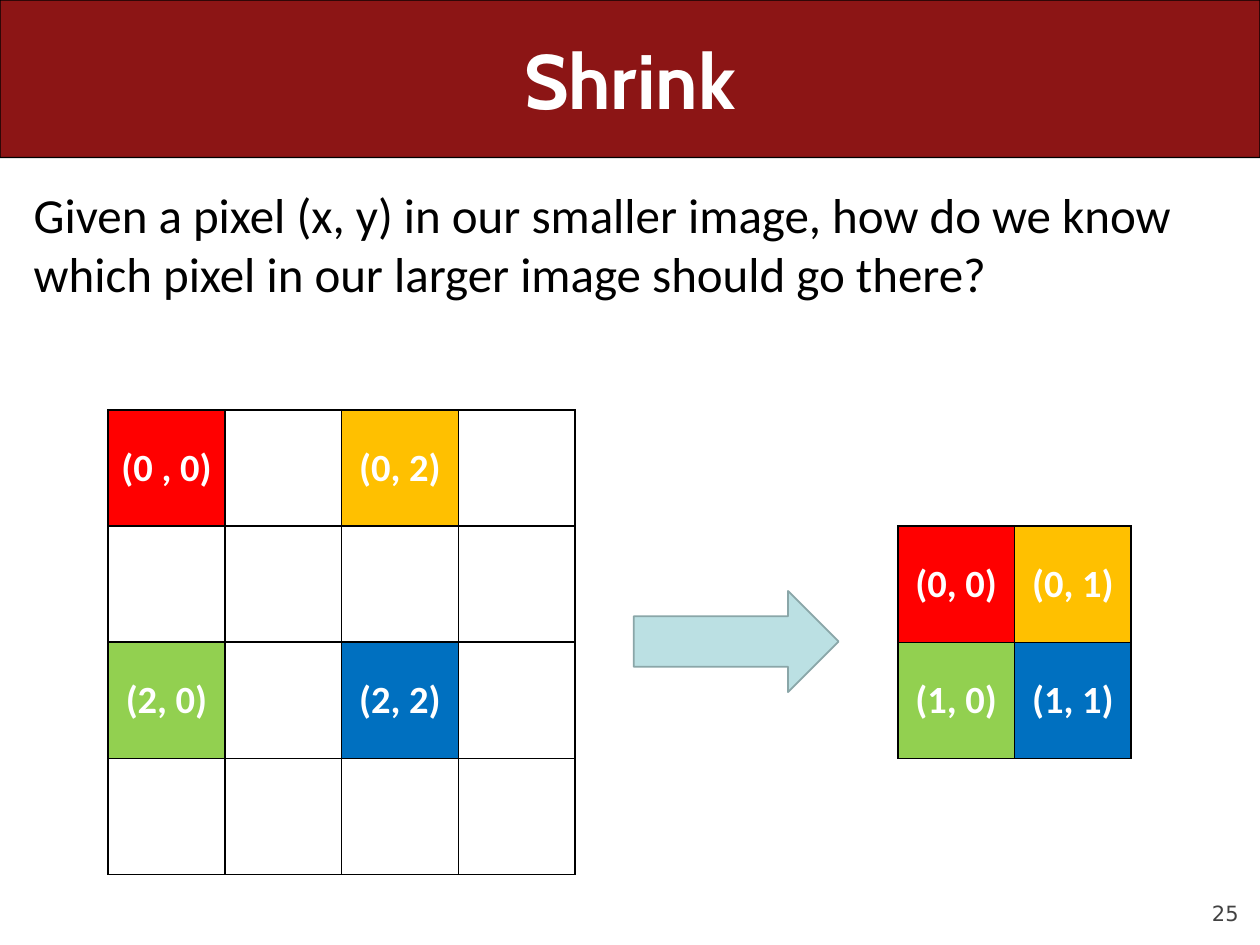
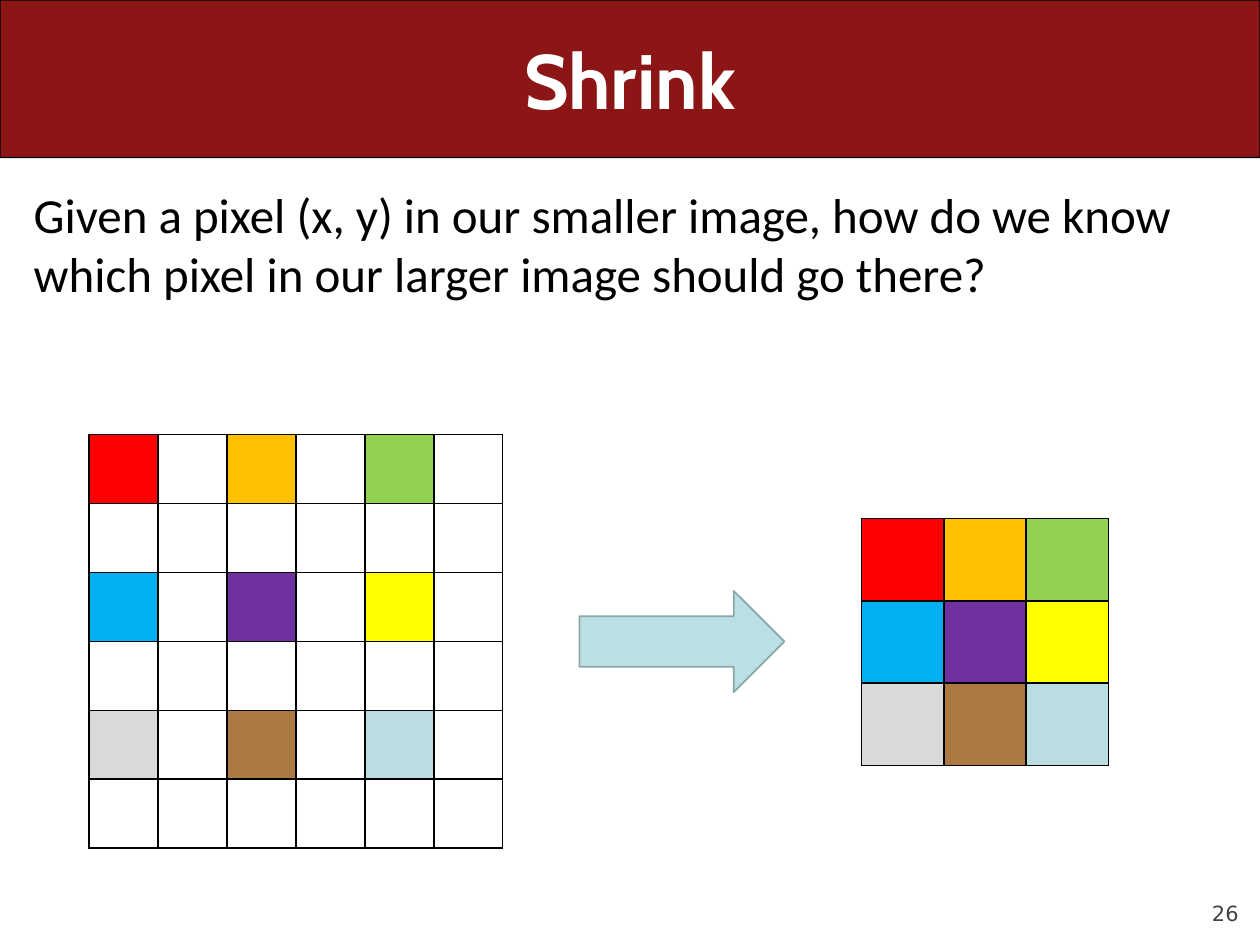
from dataclasses import dataclass

from lxml import etree
from pptx import Presentation
from pptx.dml.color import RGBColor
from pptx.enum import shapes, text
from pptx.oxml import ns
from pptx.util import Pt


@dataclass(frozen=True)
class Theme:
    band: str = "8C1515"
    ink: str = "000000"
    paper: str = "FFFFFF"
    number: str = "424242"
    arrow: str = "BBE0E3"
    arrow_line: str = "8AA6A8"
    title_font: str = "Cabin"
    body_font: str = "Calibri"
    number_font: str = "DejaVu Sans"
    title_size: int = 44
    body_size: int = 28
    cell_size: int = 22
    number_size: int = 12


class Deck:
    """Holds the theme and the current slide, and draws each kind of element."""

    def __init__(self, theme):
        self.theme = theme
        self.prs = Presentation()
        self.prs.slide_width, self.prs.slide_height = Pt(720), Pt(540)
        self.s = None

    def new_slide(self, title, number):
        t = self.theme
        self.s = self.prs.slides.add_slide(self.prs.slide_layouts[6])
        self.text((648, 500.4, 59.8, 28.8), number, t.number_font, t.number_size, t.number,
                  align=text.PP_ALIGN.RIGHT, anchor=text.MSO_ANCHOR.BOTTOM, inset=False)
        band = self.shape(shapes.MSO_SHAPE.ROUNDED_RECTANGLE, (0, 0, 720, 90), t.band, t.ink, 0.75)
        band.adjustments[0] = 0.001
        self.text((36, 0, 648, 90), title, t.title_font, t.title_size, t.paper, bold=True,
                  align=text.PP_ALIGN.CENTER, anchor=text.MSO_ANCHOR.MIDDLE)

    def run(self, p, words, font, size, color, bold=False):
        r = p.add_run()
        r.text = words
        r.font.name, r.font.size, r.font.bold = font, Pt(size), bold
        r.font.color.rgb = RGBColor.from_string(color)

    def text(self, box, words, font, size, color, bold=False, align=text.PP_ALIGN.LEFT,
             anchor=text.MSO_ANCHOR.TOP, inset=True):
        tf = self.s.shapes.add_textbox(*map(Pt, box)).text_frame
        tf.word_wrap = True
        tf.vertical_anchor = anchor
        if not inset:
            tf.margin_left = tf.margin_right = tf.margin_top = tf.margin_bottom = 0
        p = tf.paragraphs[0]
        p.alignment = align
        self.run(p, words, font, size, color, bold)

    def body(self, words):
        t = self.theme
        self.text((12.2, 102.2, 696.2, 408.2), words, t.body_font, t.body_size, t.ink)

    def shape(self, kind, box, fill, line, width):
        sp = self.s.shapes.add_shape(kind, *map(Pt, box))
        sp.shadow.inherit = False
        sp.fill.solid()
        sp.fill.fore_color.rgb = RGBColor.from_string(fill)
        sp.line.color.rgb = RGBColor.from_string(line)
        sp.line.width = Pt(width)
        return sp

    def arrow(self, left):
        t = self.theme
        self.shape(shapes.MSO_SHAPE.RIGHT_ARROW, (left, 337.7, 117, 57.8), t.arrow, t.arrow_line, 1)

    def borders(self, cell):
        pr = cell._tc.get_or_add_tcPr()
        for i, side in enumerate(("lnL", "lnR", "lnT", "lnB")):
            ln = etree.Element(ns.qn(f"a:{side}"), w=str(Pt(1)))
            fill = etree.SubElement(ln, ns.qn("a:solidFill"))
            etree.SubElement(fill, ns.qn("a:srgbClr"), val=self.theme.ink)
            pr.insert(i, ln)

    def pixel(self, cell, fill, label):
        t = self.theme
        cell.fill.solid()
        cell.fill.fore_color.rgb = RGBColor.from_string(fill)
        self.borders(cell)
        if label:
            cell.margin_left = cell.margin_right = 0
            cell.vertical_anchor = text.MSO_ANCHOR.MIDDLE
            p = cell.text_frame.paragraphs[0]
            p.alignment = text.PP_ALIGN.CENTER
            self.run(p, label, t.body_font, t.cell_size, t.paper, bold=True)

    def image(self, left, top, width, height, colors, step=1, labels=None):
        n = len(colors) * step
        tbl = self.s.shapes.add_table(n, n, Pt(left), Pt(top), Pt(n * width), Pt(n * height)).table
        tbl.first_row = tbl.horz_banding = False
        for k in range(n):
            tbl.columns[k].width, tbl.rows[k].height = Pt(width), Pt(height)
        for row in range(n):
            for col in range(n):
                kept = row % step == 0 and col % step == 0
                i, j = row // step, col // step
                self.pixel(tbl.cell(row, col), colors[i][j] if kept else self.theme.paper,
                           labels[i][j] if kept and labels else "")


QUESTION = ("Given a pixel (x, y) in our smaller image, how do we know "
            "which pixel in our larger image should go there?")
RED, ORANGE, GREEN = "FF0000", "FFC000", "92D050"
FOUR = [[RED, ORANGE], [GREEN, "0070C0"]]
NINE = [[RED, ORANGE, GREEN], ["00B0F0", "7030A0", "FFFF00"], ["D9D9D9", "AB7942", "BADDE1"]]


def main():
    deck = Deck(Theme())

    deck.new_slide("Shrink", "25")
    deck.image(61.8, 234.2, 66.7, 66.4, FOUR, step=2,
               labels=[["(0 , 0)", "(0, 2)"], ["(2, 0)", "(2, 2)"]])
    deck.image(513, 300.6, 66.7, 66.4, FOUR,
               labels=[["(0, 0)", "(0, 1)"], ["(1, 0)", "(1, 1)"]])
    deck.arrow(362.2)
    deck.body(QUESTION)

    deck.new_slide("Shrink", "26")
    deck.arrow(331.2)
    deck.body(QUESTION)
    deck.image(51, 248.4, 39.4, 39.4, NINE, step=2)
    deck.image(492.4, 296.4, 47, 47, NINE)

    deck.prs.save("out.pptx")


if __name__ == "__main__":
    main()
